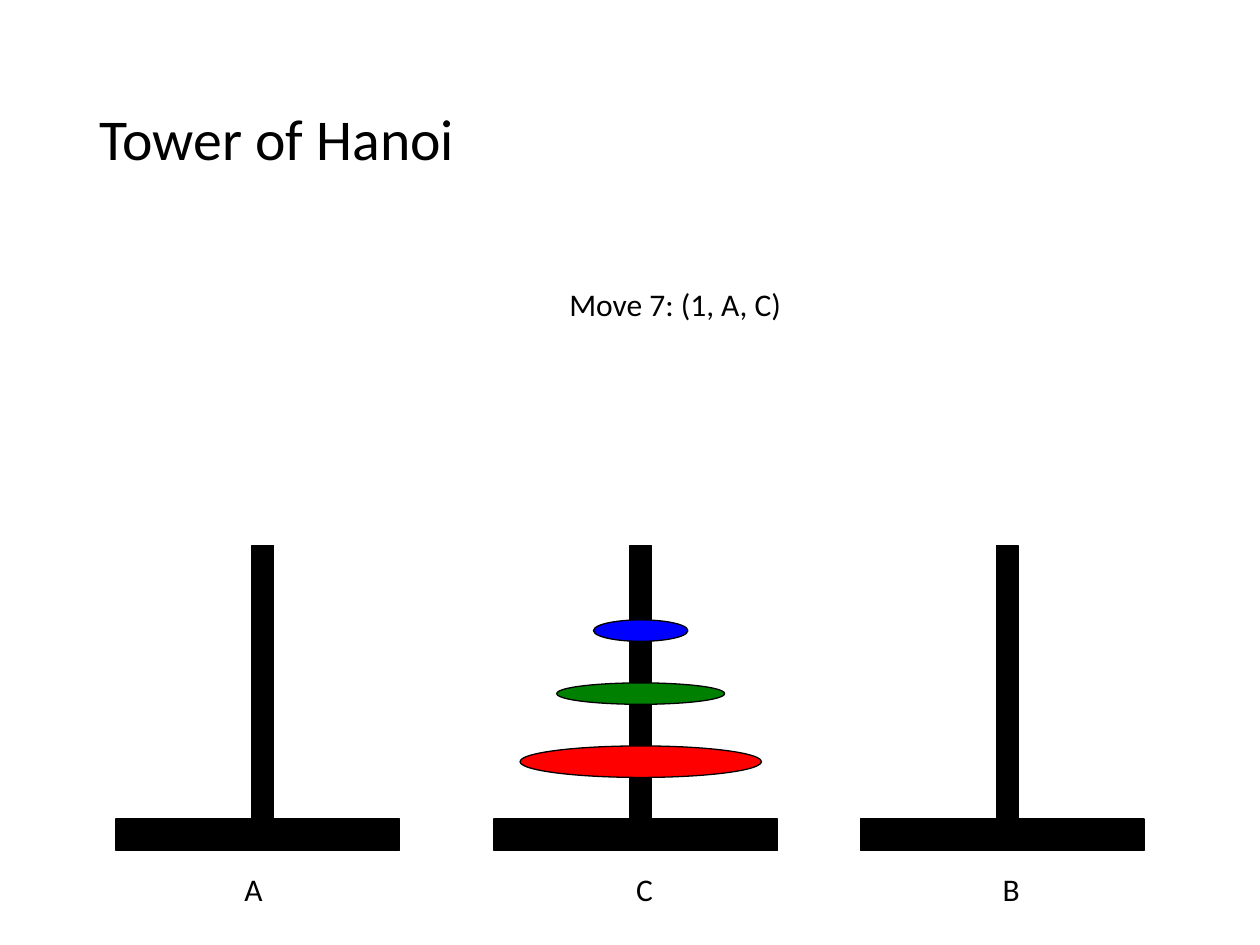
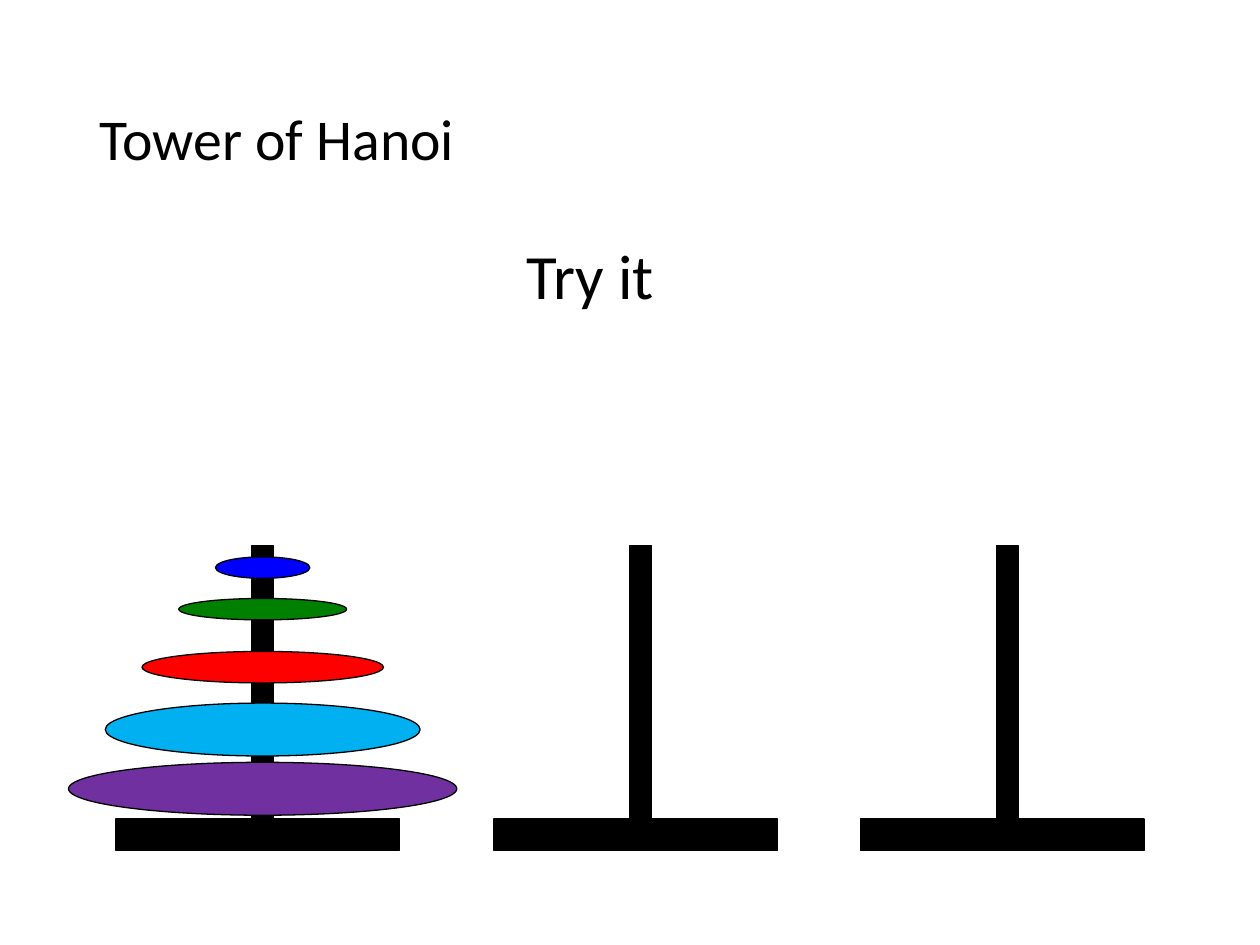
from dataclasses import dataclass
from pptx import Presentation
from pptx.dml.color import RGBColor
from pptx.enum.shapes import MSO_SHAPE
from pptx.enum.text import MSO_ANCHOR, MSO_AUTO_SIZE, PP_ALIGN
from pptx.util import Inches, Pt

RECT, OVAL = MSO_SHAPE.RECTANGLE, MSO_SHAPE.OVAL
MIDDLE, LEFT = MSO_ANCHOR.MIDDLE, PP_ALIGN.LEFT
GROW, FIXED = MSO_AUTO_SIZE.SHAPE_TO_FIT_TEXT, MSO_AUTO_SIZE.NONE


@dataclass(frozen=True)
class Theme:
    font: str = "Calibri"
    black: str = "000000"
    white: str = "FFFFFF"
    title: int = 33
    body: int = 18
    large: int = 36
    line: float = 0.75


THEME = Theme()

# Discs from smallest to largest; each is one step wider than the last
COLORS = dict(blue="0000FF", green="008000", red="FF0000",
              cyan="00B0F0", purple="7030A0")
DISC_W, DISC_STEP = 0.75, 0.583

# Pegs: left edge of each base, and parts relative to it
PEGS = (0.92, 3.92, 6.83)
PEG_TOP, POST_H, POST_W = 4.33, 2.17, 0.17
BASE_W, BASE_H = 2.25, 0.25
POST_X = 1.08
AXIS = POST_X + POST_W / 2


def box(*sizes):
    return [Inches(size) for size in sizes]


def style(frame, size):
    for par in frame.paragraphs:
        par.alignment = LEFT
        for run in par.runs:
            run.font.name = THEME.font
            run.font.size = Pt(size)
            run.font.color.rgb = RGBColor.from_string(THEME.black)


def add_part(shapes, kind, area, color):
    part = shapes.add_shape(kind, *box(*area))
    part.shadow.inherit = False
    part.fill.solid()
    part.fill.fore_color.rgb = RGBColor.from_string(color)
    part.line.color.rgb = RGBColor.from_string(THEME.black)
    part.line.width = Pt(THEME.line)


def add_label(slide, text, area, size, wrap=False):
    frame = slide.shapes.add_textbox(*box(*area)).text_frame
    frame.text = text
    frame.word_wrap = wrap
    frame.auto_size = GROW
    style(frame, size)


def add_peg(slide, left, top):
    parts = slide.shapes.add_group_shape().shapes
    add_part(parts, RECT, (left, top + POST_H, BASE_W, BASE_H), THEME.black)
    add_part(parts, RECT, (left + POST_X, top, POST_W, POST_H), THEME.black)


def add_discs(slide, left, top, stack):
    """Stack holds the drop below the peg top and the height of each disc."""
    for level, (color, (drop, height)) in enumerate(zip(COLORS.values(), stack)):
        width = DISC_W + level * DISC_STEP
        area = (left + AXIS - width / 2, top + drop, width, height)
        add_part(slide.shapes, OVAL, area, color)


def add_board(deck, peg, stack):
    """A titled slide with three pegs and the discs on one of them."""
    slide = deck.slides.add_slide(deck.slide_layouts[5])
    slide.background.fill.solid()
    slide.background.fill.fore_color.rgb = RGBColor.from_string(THEME.white)

    # Title
    title = slide.shapes.title
    title.left, title.top, title.width, title.height = box(0.69, 0.4, 8.62, 1.45)
    frame = title.text_frame
    frame.text = "Tower of Hanoi"
    frame.vertical_anchor = MIDDLE
    frame.auto_size = FIXED
    frame.paragraphs[0].line_spacing = 0.9
    style(frame, THEME.title)

    # Pegs and discs
    for left in PEGS:
        add_peg(slide, left, PEG_TOP)
    add_discs(slide, PEGS[peg], PEG_TOP, stack)
    return slide


def main():
    deck = Presentation()
    deck.slide_width, deck.slide_height = box(10, 7.5)

    # Last move: all discs on the middle peg
    slide = add_board(deck, 1, ((0.59, 0.17), (1.09, 0.17), (1.59, 0.25)))
    add_label(slide, "Move 7: (1, A, C)", (4.42, 2.21, 1.96, 0.4), THEME.body)
    for name, left in zip("ACB", (1.84, 4.95, 7.86)):
        add_label(slide, name, (left, 6.86, 1.22, 0.4), THEME.body, wrap=True)

    # Exercise: five discs on the first peg
    slide = add_board(deck, 0, ((0.09, 0.17), (0.42, 0.17), (0.84, 0.25),
                                (1.25, 0.42), (1.72, 0.42)))
    add_label(slide, "Try it", (4.08, 1.83, 1.45, 0.71), THEME.large)

    deck.save("out.pptx")


if __name__ == "__main__":
    main()
